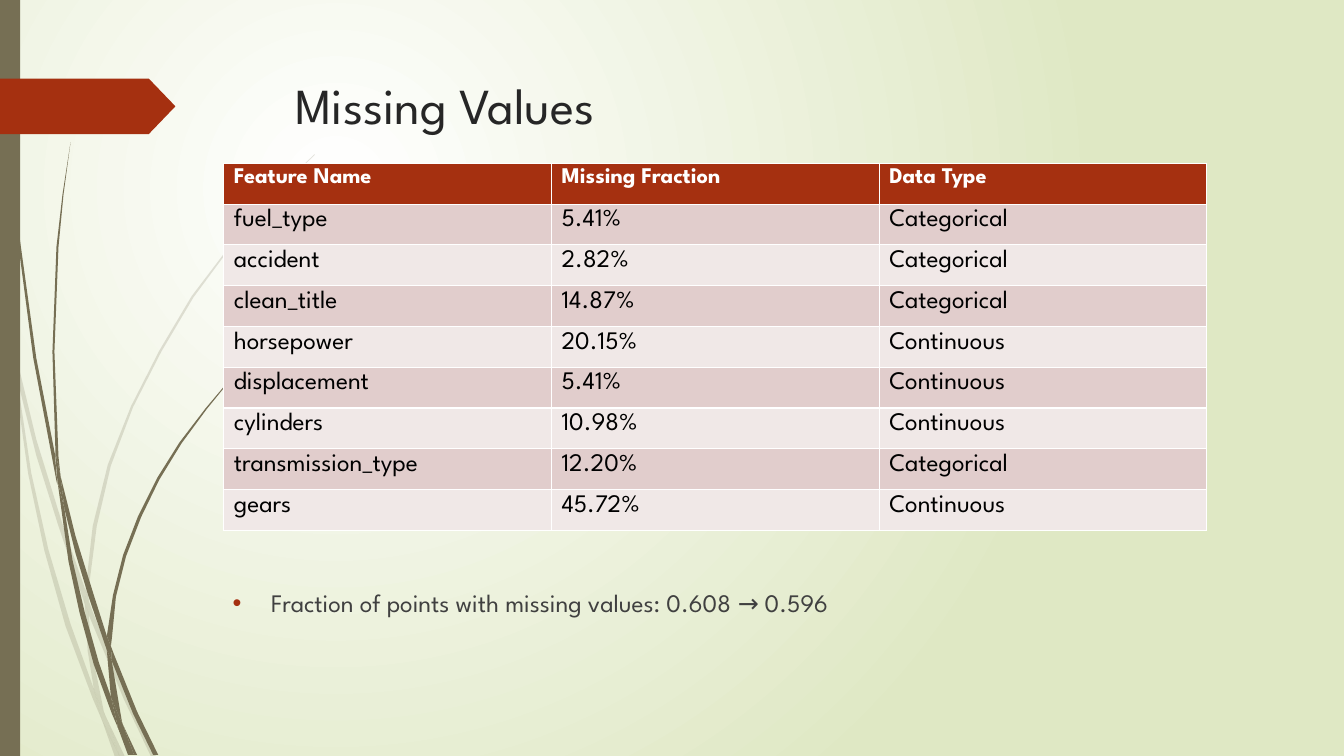
from lxml import etree
from pptx import Presentation
from pptx.dml.color import RGBColor
from pptx.enum.shapes import MSO_SHAPE as Preset
from pptx.enum.text import MSO_ANCHOR as Anchor
from pptx.oxml import parse_xml
from pptx.oxml.ns import nsdecls, qn
from pptx.util import Inches, Pt

# Content
TITLE = "Missing Values"
HEADER = ("Feature Name", "Missing Fraction", "Data Type")
FEATURES = [
    ("fuel_type", "5.41%", "Categorical"),
    ("accident", "2.82%", "Categorical"),
    ("clean_title", "14.87%", "Categorical"),
    ("horsepower", "20.15%", "Continuous"),
    ("displacement", "5.41%", "Continuous"),
    ("cylinders", "10.98%", "Continuous"),
    ("transmission_type", "12.20%", "Categorical"),
    ("gears", "45.72%", "Continuous"),
]
SUMMARY = "Fraction of points with missing values: 0.608 → 0.596"

# Colours and fonts
WHITE = RGBColor(0xFF, 0xFF, 0xFF)
BLACK = RGBColor(0, 0, 0)
PALE_GREEN = RGBColor(0xDF, 0xE8, 0xC4)
OLIVE = RGBColor(0x76, 0x6F, 0x54)
RUST = RGBColor(0xA5, 0x30, 0x10)
BANDS = (RGBColor(0xE1, 0xCD, 0xCC), RGBColor(0xF0, 0xE8, 0xE7))
INK = RGBColor(0x26, 0x26, 0x26)
GREY = RGBColor(0x40, 0x40, 0x40)
FONT = "League Spartan"

# Layout in inches
WIDTH, HEIGHT = 13.33, 7.5
LEFT, CONTENT_WIDTH = 2.21, 9.75
TABLE_LEFT, TABLE_TOP, ROW_HEIGHT = 2.22, 1.62, 0.405

# Outlines of the grass blades, piece by piece, in inches
PALE_GRASS = [
    [(0.11, 3.5), (0.09, 3.22), (0, 2.82), (0, 2.99), (0.1, 3.44)],
    [(0.58, 5.22), (0.84, 5.99), (0.85, 5.86), (0.62, 5.2), (0.36, 4.36),
     (0.14, 3.45), (0.17, 3.76), (0.36, 4.52)],
    [(0.92, 6.07), (0.88, 5.96), (0.88, 6.1), (1.23, 6.94), (1.5, 7.51),
     (1.55, 7.51), (1.27, 6.92)],
    [(1.19, 7.51), (1.24, 7.51), (1.05, 7.11)],
    [(0.93, 6.83), (0.7, 6.19), (0.48, 5.45), (0.31, 4.69), (0.17, 3.76), (0.11, 3.5),
     (0.28, 4.7), (0.44, 5.46), (0.65, 6.21), (0.92, 6.93), (1.01, 7.14), (0.99, 7.07)],
    [(0.84, 5.99), (0.87, 6.46), (0.93, 6.83), (0.96, 6.92), (1.05, 7.11),
     (1.03, 7.06), (0.91, 6.46), (0.88, 6.1), (0.88, 6.08)],
    [(0.88, 5.84), (0.96, 5.22), (1.1, 4.62), (1.32, 4.04), (1.6, 3.49), (1.92, 2.95),
     (2.29, 2.45), (2.68, 1.98), (2.9, 1.75), (3.12, 1.54), (3.12, 1.53), (2.89, 1.75),
     (2.68, 1.97), (2.28, 2.44), (1.9, 2.94), (1.58, 3.48), (1.3, 4.03), (1.07, 4.61),
     (0.92, 5.22), (0.85, 5.84), (0.85, 5.86), (0.88, 5.96)],
    [(1.01, 7.14), (1.14, 7.51), (1.19, 7.51)],
    [(0.88, 6.08), (0.88, 6.1), (0.88, 5.96), (0.85, 5.86), (0.84, 5.99)],
    [(0.96, 6.92), (0.93, 6.83), (0.99, 7.07), (1.01, 7.14), (1.19, 7.51), (1.05, 7.11)],
]
DARK_GRASS = [
    [(0.07, 1.1), (0.17, 2.33), (0.33, 3.55), (0.56, 4.77), (0.57, 4.81), (0.55, 4.57),
     (0.55, 4.53), (0.36, 3.55), (0.19, 2.32), (0.08, 1.09), (0.05, 0.48), (0.04, 0),
     (0.03, 0), (0.04, 0.48)],
    [(0.88, 5.92), (1.06, 6.45), (1.06, 6.33), (1.06, 6.31), (0.93, 5.9), (0.75, 5.32),
     (0.6, 4.72), (0.64, 5.05), (0.75, 5.49)],
    [(1.13, 6.49), (1.1, 6.41), (1.11, 6.56), (1.32, 7.08), (1.52, 7.49),
     (1.57, 7.49), (1.36, 7.06)],
    [(1.1, 6.91), (0.98, 6.57), (0.84, 6.07), (0.72, 5.56), (0.64, 5.05), (0.57, 4.77),
     (0.68, 5.57), (0.79, 6.08), (0.93, 6.59), (1.11, 7.08), (1.17, 7.22), (1.16, 7.17)],
    [(0.6, 4.72), (0.58, 4.53), (0.54, 3.49), (0.58, 2.45), (0.63, 1.93), (0.7, 1.41),
     (0.62, 1.93), (0.56, 2.45), (0.52, 3.49), (0.55, 4.49)],
    [(1.33, 7.49), (1.36, 7.49), (1.22, 7.19)],
    [(0.57, 4.77), (0.64, 5.05), (0.6, 4.72), (0.55, 4.49), (0.55, 4.53)],
    [(1.11, 6.33), (1.15, 5.92), (1.25, 5.52), (1.4, 5.13), (1.58, 4.76), (1.8, 4.4),
     (2.05, 4.06), (2.31, 3.74), (2.45, 3.59), (2.61, 3.44), (2.6, 3.44), (2.45, 3.58),
     (2.31, 3.73), (2.04, 4.05), (1.78, 4.39), (1.56, 4.74), (1.37, 5.12), (1.22, 5.51),
     (1.12, 5.91), (1.06, 6.31), (1.1, 6.41)],
    [(1.17, 7.22), (1.27, 7.49), (1.31, 7.49)],
    [(1.06, 6.45), (1.1, 6.91), (1.16, 7.06), (1.22, 7.19), (1.21, 7.16),
     (1.11, 6.56), (1.09, 6.51)],
    [(1.06, 6.45), (1.09, 6.51), (1.11, 6.56), (1.1, 6.41), (1.06, 6.31), (1.06, 6.33)],
    [(1.16, 7.06), (1.1, 6.91), (1.16, 7.17), (1.17, 7.22), (1.3, 7.49),
     (1.33, 7.49), (1.22, 7.19)],
]


def paint(shape, color, opacity=100):
    shape.shadow.inherit = False
    shape.fill.solid()
    shape.fill.fore_color.rgb = color
    shape.line.fill.background()
    if opacity < 100:
        tint = shape.fill._xPr.find(".//" + qn("a:srgbClr"))
        etree.SubElement(tint, qn("a:alpha"), val=str(opacity * 1000))


def write(para, text, color, size, bold=False):
    span = para.add_run()
    span.text = text
    look = {"name": FONT, "size": Pt(size), "bold": bold}
    for name, value in look.items():
        setattr(span.font, name, value)
    span.font.color.rgb = color


def add_text(page, left, top, width, height, *style):
    box = page.shapes.add_textbox(*map(Inches, (left, top, width, height)))
    frame = box.text_frame
    frame.word_wrap = True
    frame.vertical_anchor = Anchor.TOP
    write(frame.paragraphs[0], *style)
    return frame.paragraphs[0]


def add_background(page):
    page._element.cSld.insert(0, parse_xml(
        f'<p:bg {nsdecls("p", "a")}><p:bgPr><a:gradFill rotWithShape="1"><a:gsLst>'
        f'<a:gs pos="0"><a:srgbClr val="{WHITE}"/></a:gs>'
        f'<a:gs pos="100000"><a:srgbClr val="{PALE_GREEN}"/></a:gs></a:gsLst>'
        '<a:path path="circle"><a:fillToRect l="50000" t="50000" r="100000" b="100000"/>'
        '</a:path></a:gradFill><a:effectLst/></p:bgPr></p:bg>'))


def add_decoration(page):
    for pieces, opacity in ((PALE_GRASS, 20), (DARK_GRASS, 100)):
        for piece in pieces:
            start, *rest = [(Inches(x), Inches(y)) for x, y in piece]
            pen = page.shapes.build_freeform(*start)
            pen.add_line_segments(rest, close=True)
            paint(pen.convert_to_shape(), OLIVE, opacity)

    # Side bar and arrow tab
    bar = page.shapes.add_shape(Preset.RECTANGLE, 0, 0, Inches(0.2), Inches(HEIGHT))
    paint(bar, OLIVE)
    tab = page.shapes.add_shape(
        Preset.PENTAGON, 0, Inches(0.78), Inches(1.74), Inches(0.55))
    tab.adjustments[0] = 0.48
    paint(tab, RUST)


def add_feature_table(page):
    rows = [HEADER, *FEATURES]
    table = page.shapes.add_table(
        len(rows), len(HEADER), Inches(TABLE_LEFT), Inches(TABLE_TOP),
        Inches(CONTENT_WIDTH), Inches(ROW_HEIGHT * len(rows))).table
    for index, values in enumerate(rows):
        is_header = index == 0
        fill = RUST if is_header else BANDS[(index - 1) % 2]
        style = (WHITE, 16, True) if is_header else (BLACK, 18)
        for column, value in enumerate(values):
            cell = table.cell(index, column)
            cell.fill.solid()
            cell.fill.fore_color.rgb = fill
            write(cell.text_frame.paragraphs[0], value, *style)


def add_summary(page):
    para = add_text(page, LEFT, 5.78, CONTENT_WIDTH, 0.49, SUMMARY, GREY, 18)
    para.space_before = Pt(10)
    layout = para._p.get_or_add_pPr()
    layout.set("marL", str(Inches(0.38)))
    layout.set("indent", str(Inches(-0.38)))
    color = etree.SubElement(layout, qn("a:buClr"))
    etree.SubElement(color, qn("a:srgbClr"), val=str(RUST))
    etree.SubElement(layout, qn("a:buFont"), typeface="Arial")
    etree.SubElement(layout, qn("a:buChar"), char="•")


def main():
    deck = Presentation()
    deck.slide_width, deck.slide_height = Inches(WIDTH), Inches(HEIGHT)
    page = deck.slides.add_slide(deck.slide_layouts[6])
    add_background(page)
    add_decoration(page)
    add_text(page, 2.83, 0.69, CONTENT_WIDTH, 1.4, TITLE, INK, 36)
    add_feature_table(page)
    add_summary(page)
    deck.save("out.pptx")


if __name__ == "__main__":
    main()
